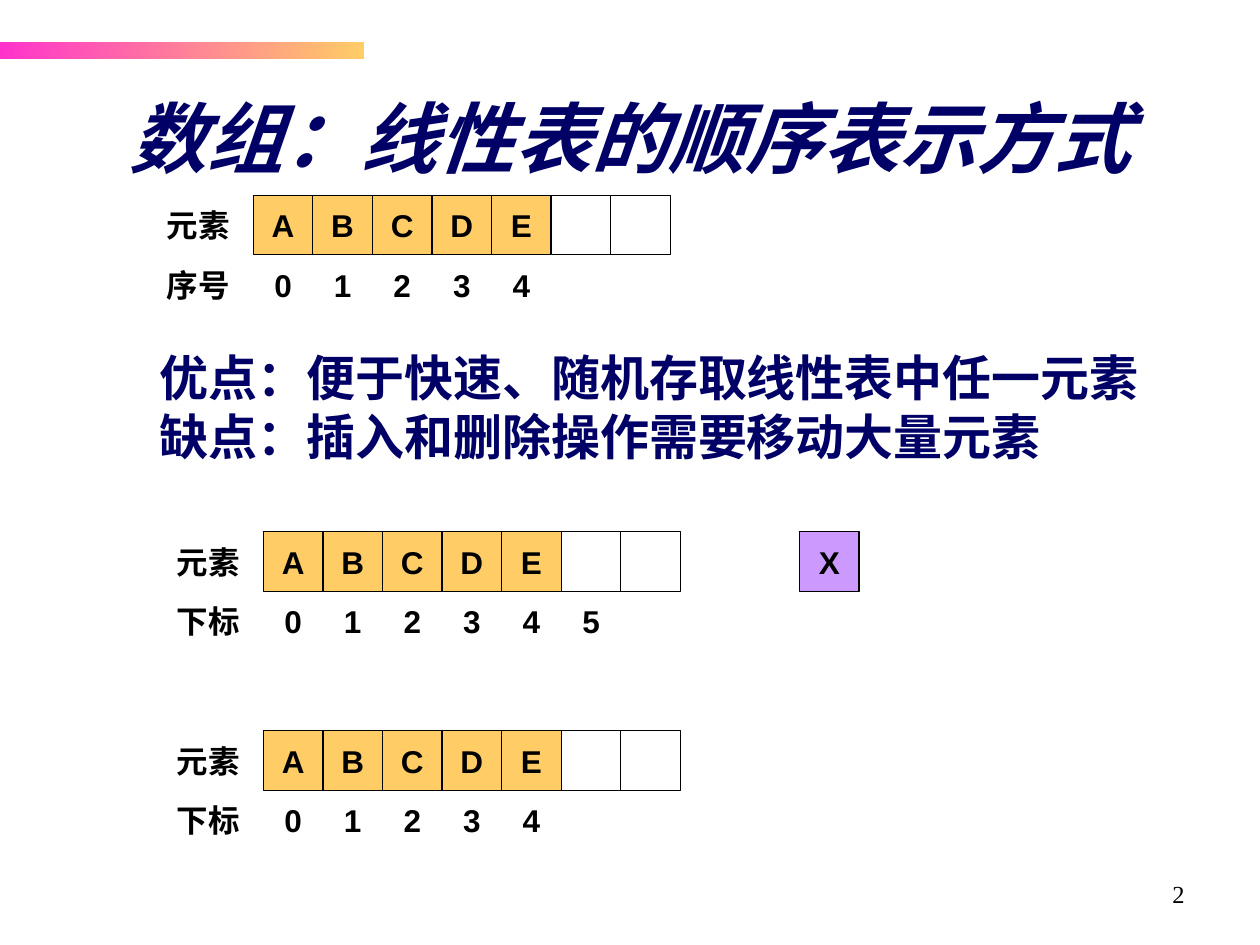
import pptx
import pptx.util
import pptx.dml.color
import pptx.enum.shapes
import pptx.enum.text
import pptx.oxml
import pptx.oxml.ns

Inches, Pt = pptx.util.Inches, pptx.util.Pt
ALIGN = pptx.enum.text.PP_ALIGN
ANCHOR = pptx.enum.text.MSO_ANCHOR
RECTANGLE = pptx.enum.shapes.MSO_SHAPE.RECTANGLE

COLORS = {
    "text": "000000", "heading": "000066", "used": "FFCC66", "free": "FFFFFF",
    "new": "CC99FF", "bar_start": "FF33CC", "bar_end": "FFCC66",
}

TITLE = "数组：线性表的顺序表示方式"
PAGE_NUMBER = "2"
# text, top, width
REMARKS = [
    ("优点：便于快速、随机存取线性表中任一元素", 2.57, 8.66),
    ("缺点：插入和删除操作需要移动大量元素", 3.04, 8.51),
]
ELEMENT_LABEL = "元素"
ELEMENTS = ["A", "B", "C", "D", "E", "", ""]
# left, top, index label, indices
ARRAYS = [
    (2.01, 1.55, "序号", "01234"),
    (2.09, 4.22, "下标", "012345"),
    (2.09, 5.80, "下标", "01234"),
]
NEW_ELEMENT = "X"
NEW_ELEMENT_COLUMN = 9  # counted in cells from the left of the second array

CELL = 3.31 / len(ELEMENTS)
LABEL_WIDTH = 1.65
LABEL_GAP = 0.09


def rgb(name):
    return pptx.dml.color.RGBColor.from_string(COLORS[name])


def write(shape, text, size, align, font="Arial", color="text", bold=True,
          anchor=ANCHOR.MIDDLE, wrap=False):
    frame = shape.text_frame
    frame.word_wrap = wrap
    frame.vertical_anchor = anchor
    paragraph = frame.paragraphs[0]
    paragraph.alignment = align
    run = paragraph.add_run()
    run.text = text
    run.font.name = font
    run.font.size = Pt(size)
    run.font.bold = bold
    run.font.color.rgb = rgb(color)
    return paragraph


def add_text(slide, box, text, size, align, **style):
    shape = slide.shapes.add_textbox(*map(Inches, box))
    return write(shape, text, size, align, **style)


def add_cell(slide, left, top, element, fill):
    cell = slide.shapes.add_shape(
        RECTANGLE, *map(Inches, (left, top, CELL, CELL)))
    cell.shadow.inherit = False
    cell.fill.solid()
    cell.fill.fore_color.rgb = rgb(fill)
    cell.line.color.rgb = rgb("text")
    cell.line.width = Pt(0.75)
    if element:
        write(cell, element, 18, ALIGN.CENTER)


def add_array(slide, left, top, index_label, indices):
    for column, element in enumerate(ELEMENTS):
        add_cell(slide, left + column * CELL, top, element,
                 "used" if element else "free")
    for column, index in enumerate(indices):
        add_text(slide, (left + column * CELL, top + CELL, CELL, CELL),
                 index, 18, ALIGN.CENTER)
    for row, label in enumerate((ELEMENT_LABEL, index_label)):
        box = (left - LABEL_GAP - LABEL_WIDTH, top + row * CELL,
               LABEL_WIDTH, CELL)
        add_text(slide, box, label, 18, ALIGN.RIGHT)


def add_bar(slide):
    bar = slide.shapes.add_shape(RECTANGLE, *map(Inches, (0, 0.33, 2.89, 0.14)))
    bar.shadow.inherit = False
    bar.line.fill.background()
    bar.fill.gradient()
    bar.fill.gradient_angle = 0
    for stop, position, name in zip(bar.fill.gradient_stops, (0, 1),
                                    ("bar_start", "bar_end")):
        stop.position = position
        stop.color.rgb = rgb(name)


def add_title(slide):
    paragraph = add_text(slide, (0.74, 0.68, 8.53, 0.92), TITLE, 44,
                         ALIGN.CENTER, font="Times New Roman",
                         color="heading", wrap=True)
    paragraph.line_spacing = 0.85
    font = paragraph.runs[0].font
    font.italic = True
    text_shadow = pptx.oxml.parse_xml(
        f'<a:effectLst {pptx.oxml.ns.nsdecls("a")}>'
        '<a:outerShdw dist="35921" dir="2700000">'
        f'<a:srgbClr val="{COLORS["text"]}"/></a:outerShdw></a:effectLst>')
    properties = paragraph.runs[0]._r.get_or_add_rPr()
    properties.find(pptx.oxml.ns.qn("a:solidFill")).addnext(text_shadow)


def add_remark(slide, text, top, width):
    paragraph = add_text(slide, (0.67, top, width, 0.71), text, 28, ALIGN.LEFT,
                         color="heading", anchor=ANCHOR.TOP, wrap=True)
    paragraph.level = 1
    paragraph.line_spacing = 1.3
    properties = paragraph._p.get_or_add_pPr()
    properties.set("marL", str(Inches(0.81)))
    properties.set("indent", str(Inches(-0.31)))


def main():
    deck = pptx.Presentation()
    deck.slide_width, deck.slide_height = Inches(10), Inches(7.5)
    slide = deck.slides.add_slide(deck.slide_layouts[6])

    add_text(slide, (7.17, 6.93, 2.33, 0.52), PAGE_NUMBER, 14, ALIGN.RIGHT,
             font="Times New Roman", bold=False, anchor=ANCHOR.TOP, wrap=True)
    add_bar(slide)
    add_title(slide)
    for array in ARRAYS:
        add_array(slide, *array)
    for remark in REMARKS:
        add_remark(slide, *remark)
    left, top = ARRAYS[1][:2]
    add_cell(slide, left + NEW_ELEMENT_COLUMN * CELL, top, NEW_ELEMENT, "new")

    deck.save("out.pptx")


if __name__ == "__main__":
    main()
